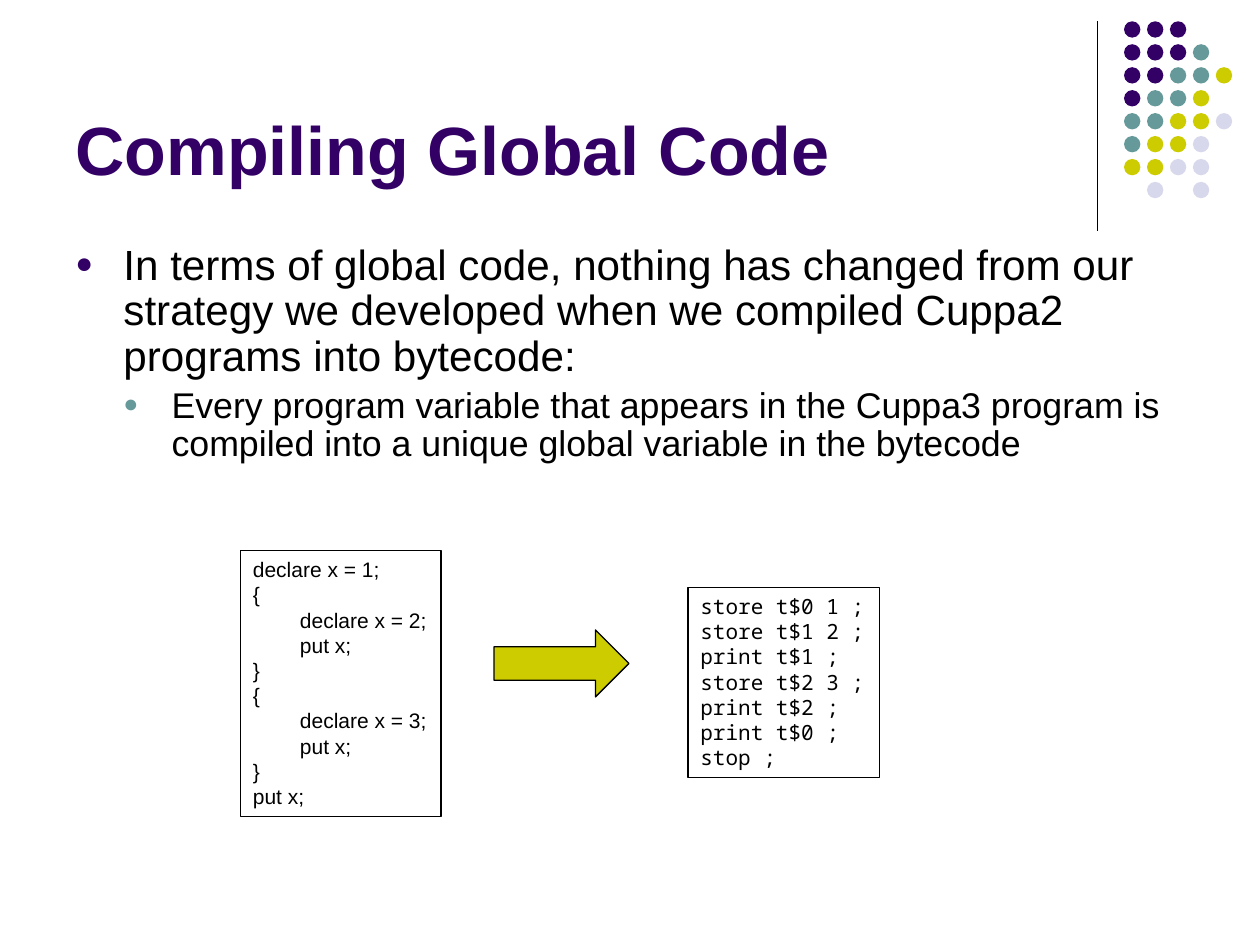
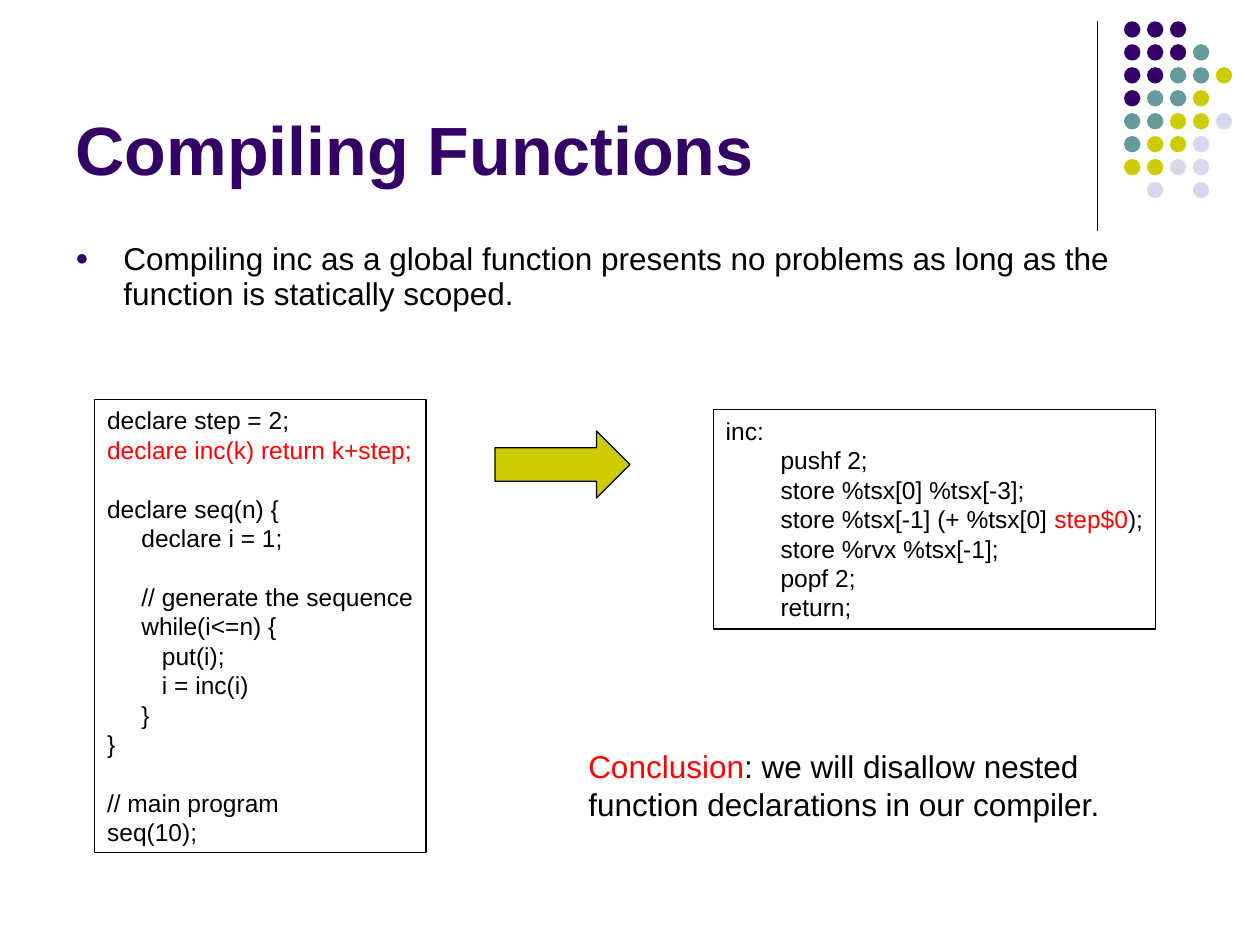
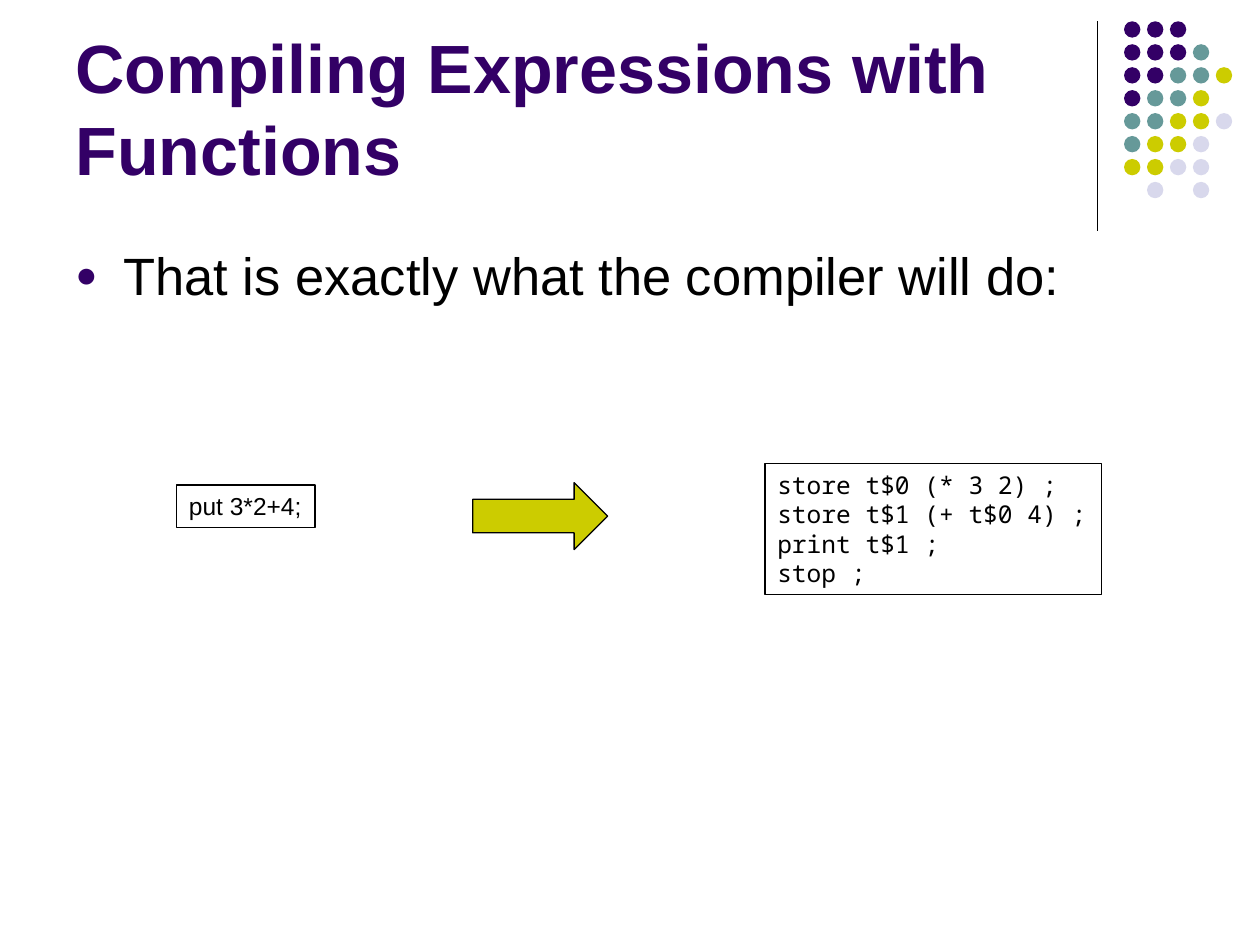
from dataclasses import dataclass

from lxml.etree import SubElement
from pptx import Presentation
from pptx.dml.color import RGBColor
from pptx.enum.shapes import MSO_CONNECTOR, MSO_SHAPE
from pptx.enum.text import MSO_ANCHOR, MSO_AUTO_SIZE, PP_ALIGN
from pptx.oxml.ns import qn
from pptx.util import Cm, Pt


@dataclass(frozen=True)
class Theme:
    """Colours, fonts and type sizes of the deck."""
    purple: str = "330066"
    teal: str = "669999"
    olive: str = "CCCC00"
    lavender: str = "D8D8EC"
    ink: str = "000000"
    red: str = "FF0000"
    font: str = "Arial"
    mono: str = "Noto Sans Mono"
    title_size: float = 39
    note_size: float = 18
    code_size: float = 14
    small_code_size: float = 12
    line_width: float = 0.75
    leading: float = 1.2
    tight: float = 1.08
    space_width: float = 0.28


THEME = Theme()
TITLE_BOX = (1.27, 0.33, 20.96, 3.61)
DECORATION_BOX = (22.12, 0.43, 2.72, 4.22)
ARROW_SIZE = (2.72, 1.35)
BULLET_INDENT = 0.97
DOT_ROWS = ("PPP", "PPPT", "PPTTO", "PTTO", "TTOOL", "TOOL", "OOLL", " L L")
DOT_COLORS = {"P": THEME.purple, "T": THEME.teal,
              "O": THEME.olive, "L": THEME.lavender}


def rgb(color):
    """Turn a hex string into a colour."""
    return RGBColor.from_string(color)


def lengths(box):
    """Turn centimetres into lengths."""
    return [Cm(value) for value in box]


def write_text(paragraph, text, size=THEME.code_size, color=THEME.ink,
               font=THEME.font, bold=False, leading=THEME.leading,
               before=0, margin=0, hanging=0):
    """Fill a paragraph with a string or with (text, colour) runs."""
    paragraph.alignment = PP_ALIGN.LEFT
    paragraph.line_spacing = Pt(size * leading)
    paragraph.space_before = Pt(before)
    properties = paragraph._p.get_or_add_pPr()
    properties.set("marL", str(Cm(margin)))
    properties.set("indent", str(Cm(-hanging)))
    runs = [(text, color)] if isinstance(text, str) else text
    for words, run_color in runs:
        for number, line in enumerate(words.split("\n")):
            if number:
                paragraph.add_line_break()
            run = paragraph.add_run()
            run.text = line
            run.font.size, run.font.name, run.font.bold = Pt(size), font, bold
            run.font.color.rgb = rgb(run_color)


def next_paragraph(frame):
    """Return the empty first paragraph, or a new one after the others."""
    first = frame.paragraphs[0]
    return frame.add_paragraph() if first.runs else first


def add_bullet(paragraph, color):
    """Give a paragraph a round bullet."""
    properties = paragraph._p.get_or_add_pPr()
    SubElement(SubElement(properties, qn("a:buClr")),
               qn("a:srgbClr")).set("val", color)
    SubElement(properties, qn("a:buSzPct")).set("val", "70000")
    SubElement(properties, qn("a:buFont")).set("typeface", THEME.font)
    SubElement(properties, qn("a:buChar")).set("char", "●")


def outline(shape, fill=None):
    """Give a shape a thin black line and an optional fill."""
    shape.shadow.inherit = False
    if fill:
        shape.fill.solid()
        shape.fill.fore_color.rgb = rgb(fill)
    else:
        shape.fill.background()
    shape.line.color.rgb = rgb(THEME.ink)
    shape.line.width = Pt(THEME.line_width)


def add_decoration(slide, layout, box):
    """Draw the rule and dot pattern and hand them to the layout."""
    left, top, width, height = box
    group = slide.shapes.add_group_shape()
    rule = group.shapes.add_connector(
        MSO_CONNECTOR.STRAIGHT, *lengths((left, top, left, top + height)))
    rule.line.color.rgb = rgb(THEME.ink)
    rule.line.width = Pt(THEME.line_width)
    SubElement(rule._element.spPr, qn("a:effectLst"))
    diameter, first_column = 0.33, left + 0.54
    pitch = (left + width - first_column - diameter) / 4
    for row, marks in enumerate(DOT_ROWS):
        for column, mark in enumerate(marks):
            if mark not in DOT_COLORS:
                continue
            dot = group.shapes.add_shape(MSO_SHAPE.OVAL, *lengths(
                (first_column + column * pitch, top + row * pitch,
                 diameter, diameter)))
            dot.shadow.inherit = False
            dot.fill.solid()
            dot.fill.fore_color.rgb = rgb(DOT_COLORS[mark])
            dot.line.fill.background()
    layout.shapes.element.append(group.element)


def add_title(slide, text, box=TITLE_BOX):
    """Place and format the title placeholder."""
    title = slide.shapes.title
    title.left, title.top, title.width, title.height = lengths(box)
    frame = title.text_frame
    frame.auto_size = MSO_AUTO_SIZE.NONE
    frame.word_wrap = True
    frame.vertical_anchor = MSO_ANCHOR.BOTTOM
    write_text(frame.paragraphs[0], text, size=THEME.title_size,
               color=THEME.purple, bold=True)


def add_bullets(slide, box, points, leading=THEME.tight):
    """Place bullet points given as (level, size, text)."""
    frame = slide.shapes.add_textbox(*lengths(box)).text_frame
    frame.word_wrap = True
    for number, (level, size, text) in enumerate(points):
        paragraph = next_paragraph(frame)
        paragraph.level = level
        write_text(paragraph, text, size=size, leading=leading,
                   before=0.2 * size if number else 0,
                   margin=BULLET_INDENT * (level + 1), hanging=BULLET_INDENT)
        add_bullet(paragraph, (THEME.purple, THEME.teal)[level])


def add_code(slide, box, lines, size=THEME.code_size, font=THEME.font):
    """Place framed code: leading spaces set indents, empty lines set gaps."""
    listing = slide.shapes.add_shape(MSO_SHAPE.RECTANGLE, *lengths(box))
    outline(listing)
    frame = listing.text_frame
    frame.word_wrap = False
    frame.auto_size = MSO_AUTO_SIZE.SHAPE_TO_FIT_TEXT
    frame.vertical_anchor = MSO_ANCHOR.TOP
    gap = 0
    for line in lines:
        if not line:
            gap = size * THEME.leading
            continue
        runs = [(line, THEME.ink)] if isinstance(line, str) else line
        (first, color), *others = runs
        code = first.lstrip()
        depth = len(first) - len(code)
        write_text(next_paragraph(frame), [(code, color), *others],
                   size=size, font=font, before=gap,
                   margin=Pt(depth * THEME.space_width * size).cm)
        gap = 0


def add_arrow(slide, left, top):
    """Place the arrow that leads from source to bytecode."""
    arrow = slide.shapes.add_shape(
        MSO_SHAPE.RIGHT_ARROW, *lengths((left, top, *ARROW_SIZE)))
    outline(arrow, THEME.olive)


def add_conclusion(slide, box, runs):
    """Place the closing remark."""
    frame = slide.shapes.add_textbox(*lengths(box)).text_frame
    frame.word_wrap = False
    frame.auto_size = MSO_AUTO_SIZE.SHAPE_TO_FIT_TEXT
    write_text(frame.paragraphs[0], runs, size=THEME.note_size)


def build_global_code(slide):
    """Build the slide on global code."""
    add_title(slide, "Compiling Global Code")
    add_bullets(slide, (1.27, 4.78, 22.86, 4.75), [
        (0, 24.1, "In terms of global code, nothing has changed from our "
                  "strategy we developed when we compiled Cuppa2 programs "
                  "into bytecode:"),
        (1, 20.4, "Every program variable that appears in the Cuppa3 program "
                  "is compiled into a unique global variable in the "
                  "bytecode")])
    add_code(slide, (4.85, 11.1, 4.04, 5.36), [
        "declare x = 1;",
        "{", "        declare x = 2;", "        put x;", "}",
        "{", "        declare x = 3;", "        put x;", "}",
        "put x;"], size=THEME.small_code_size)
    add_code(slide, (13.87, 11.84, 3.86, 3.84), [
        "store t$0 1 ;", "store t$1 2 ;", "print t$1 ;", "store t$2 3 ;",
        "print t$2 ;", "print t$0 ;", "stop ;"],
        size=THEME.small_code_size, font=THEME.mono)
    add_arrow(slide, 9.96, 12.7)


def build_functions(slide):
    """Build the slide on functions."""
    add_title(slide, "Compiling Functions")
    add_bullets(slide, (1.27, 4.78, 22.86, 1.37), [
        (0, 18, "Compiling inc as a global function presents no problems as "
                "long as the function is statically scoped.")])
    add_code(slide, (1.91, 8.05, 6.68, 9.14), [
        "declare step = 2;",
        [("declare inc(k) return k+step;", THEME.red)],
        "",
        "declare seq(n) {",
        "     declare i = 1;",
        "",
        "     // generate the sequence",
        "     while(i<=n) {",
        "        put(i);",
        "        i = inc(i)",
        "     }",
        "}",
        "",
        "// main program",
        "seq(10);"])
    add_code(slide, (14.38, 8.26, 8.92, 4.42), [
        "inc:",
        "        pushf 2;",
        "        store %tsx[0] %tsx[-3];",
        [("        store %tsx[-1] (+ %tsx[0] ", THEME.ink),
         ("step$0", THEME.red), (");", THEME.ink)],
        "        store %rvx %tsx[-1];",
        "        popf 2;",
        "        return;"])
    add_arrow(slide, 9.98, 8.69)
    add_conclusion(slide, (11.61, 14.94, 10.85, 1.78), [
        ("Conclusion", THEME.red),
        (": we will disallow nested\nfunction declarations in our compiler.",
         THEME.ink)])


def build_expressions(slide):
    """Build the slide on expressions."""
    add_title(slide, "Compiling Expressions with Functions")
    add_bullets(slide, (1.27, 4.78, 22.86, 2.21), [
        (0, 30, "That is exactly what the compiler will do:")],
        leading=THEME.leading)
    add_code(slide, (15.42, 9.35, 6.78, 2.64), [
        "store t$0 (* 3 2) ;", "store t$1 (+ t$0 4) ;",
        "print t$1 ;", "stop ;"], font=THEME.mono)
    add_code(slide, (3.56, 9.78, 2.79, 0.86), ["put 3*2+4;"])
    add_arrow(slide, 9.53, 9.73)


def main():
    """Build and save the deck."""
    deck = Presentation()
    deck.slide_width, deck.slide_height = Cm(25.4), Cm(19.05)
    layout = deck.slide_layouts.get_by_name("Title Only")
    builders = (build_global_code, build_functions, build_expressions)
    slides = [deck.slides.add_slide(layout) for _ in builders]
    add_decoration(slides[0], layout, DECORATION_BOX)
    for build, slide in zip(builders, slides):
        build(slide)
    deck.save("out.pptx")


main()
